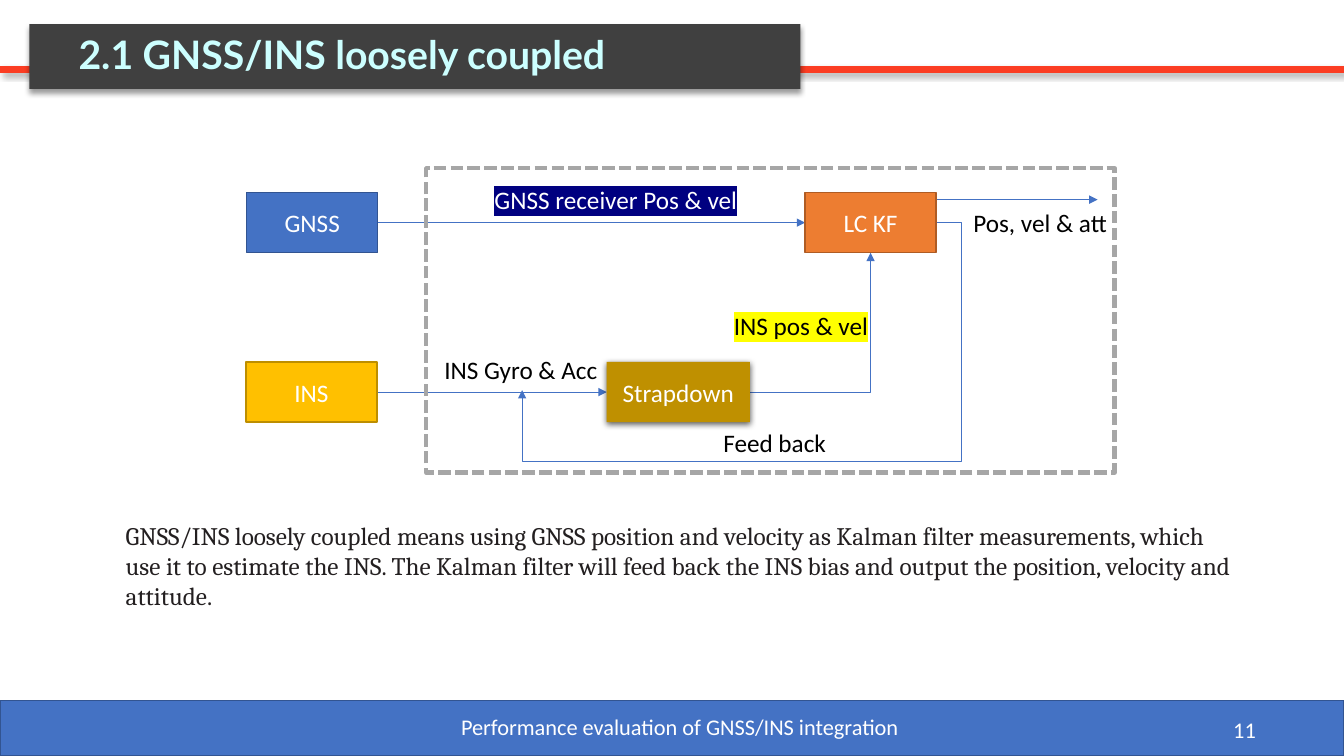
from pptx import Presentation
from pptx.dml.color import RGBColor
from pptx.enum.dml import MSO_LINE
from pptx.enum.shapes import MSO_CONNECTOR, MSO_SHAPE
from pptx.enum.text import MSO_ANCHOR, MSO_AUTO_SIZE, PP_ALIGN
from pptx.oxml.ns import qn
from pptx.util import Cm, Pt
from lxml import etree

LEFT, CENTER, RIGHT = PP_ALIGN.LEFT, PP_ALIGN.CENTER, PP_ALIGN.RIGHT
TOP, MIDDLE = MSO_ANCHOR.TOP, MSO_ANCHOR.MIDDLE
GROW, FIXED = MSO_AUTO_SIZE.SHAPE_TO_FIT_TEXT, MSO_AUTO_SIZE.NONE
STRAIGHT, ELBOW = MSO_CONNECTOR.STRAIGHT, MSO_CONNECTOR.ELBOW
RECTANGLE, DASHED = MSO_SHAPE.RECTANGLE, MSO_LINE.SQUARE_DOT
color = RGBColor.from_string

WIDTH, HEIGHT = 33.87, 19.05
BLUE, WHITE, BLACK = "4472C4", "FFFFFF", "000000"
# Shadows: opacity %, blur pt, distance pt, direction in degrees
RULE_SHADOW, TITLE_SHADOW, BLOCK_SHADOW = (40, 4, 3, 45), (40, 4, 3, 90), (63, 4.5, 1.5, 90)


def write(shape, text, ink, align=CENTER, anchor=MIDDLE, fit=FIXED, highlight=None, **formats):
    frame = shape.text_frame
    frame.word_wrap = True
    frame.auto_size = fit
    frame.vertical_anchor = anchor
    paragraph = frame.paragraphs[0]
    paragraph.alignment = align
    run = paragraph.add_run()
    run.text = text
    run.font.color.rgb = color(ink)
    for name, value in ({"name": "Calibri", "size": Pt(18)} | formats).items():
        setattr(run.font, name, value)
    if highlight:
        marker = etree.Element(qn("a:highlight"))
        etree.SubElement(marker, qn("a:srgbClr"), val=highlight)
        run.font._element.find(qn("a:latin")).addprevious(marker)
    return paragraph


def set_shadow(shape, shadow):
    effects = etree.SubElement(shape._element.spPr, qn("a:effectLst"))
    if shadow:
        opacity, blur, distance, direction = shadow
        outer = etree.SubElement(
            effects, qn("a:outerShdw"), blurRad=str(Pt(blur)), dist=str(Pt(distance)),
            dir=str(direction * 60000), algn="ctr", rotWithShape="0")
        black = etree.SubElement(outer, qn("a:srgbClr"), val=BLACK)
        etree.SubElement(black, qn("a:alpha"), val=str(opacity * 1000))


prs = Presentation()
prs.slide_width, prs.slide_height = Cm(WIDTH), Cm(HEIGHT)
slide = prs.slides.add_slide(prs.slide_layouts[6])
shapes = slide.shapes

# Connectors: start, end, colour, weight, preset, adjustments, shadow
gnss_y, ins_y = 5.61, 9.88
connectors = [
    ((0, 1.75), (WIDTH, 1.75), "FB3D23", 4.5, "line", (), RULE_SHADOW),
    ((9.52, gnss_y), (20.29, gnss_y), BLUE, 0.5, "line", (), None),
    ((9.5, ins_y), (15.29, ins_y), BLUE, 0.5, "line", (), None),
    ((23.59, 5.03), (27.66, 5.03), BLUE, 0.5, "line", (), None),
    ((18.9, ins_y), (21.94, 6.37), BLUE, 0.5, "bentConnector2", (), None),
    ((23.59, gnss_y), (13.16, 9.83), BLUE, 0.5, "bentConnector4", (-6100, 142600), None),
]
for start, end, stroke, weight, preset, adjustments, shadow in connectors:
    kind = STRAIGHT if preset == "line" else ELBOW
    link = shapes.add_connector(kind, *map(Cm, start + end))
    link.line.color.rgb = color(stroke)
    link.line.width = Pt(weight)
    properties = link._element.spPr
    geometry = properties.find(qn("a:prstGeom"))
    geometry.set("prst", preset)
    for number, value in enumerate(adjustments, 1):
        etree.SubElement(geometry.find(qn("a:avLst")), qn("a:gd"),
                         name=f"adj{number}", fmla=f"val {value}")
    if stroke == BLUE:
        etree.SubElement(properties.find(qn("a:ln")), qn("a:tailEnd"), type="triangle")
    set_shadow(link, shadow)

# Title bar, footer bar, diagram blocks and system frame
block_w, block_h = 3.3, 1.52
gnss_top, ins_top = 4.85, 9.12
boxes = [
    ("title", 0.74, 0.61, 19.43, 1.63, "404040", None, TITLE_SHADOW),
    ("footer", 0, 17.65, WIDTH, 1.4, BLUE, "325491", None),
    ("GNSS", 6.22, gnss_top, block_w, block_h, BLUE, "325491", None),
    ("INS", 6.2, ins_top, block_w, block_h, "FFC000", "BD8E00", None),
    ("LC KF", 20.29, gnss_top, block_w, block_h, "ED7D31", "AF5C24", None),
    ("Strapdown", 15.29, ins_top, 3.61, block_h, "BF9000", None, BLOCK_SHADOW),
    ("frame", 10.74, 4.24, 17.35, 7.67, None, "A6A6A6", None),
]
for part, left, top, width, height, fill, outline, shadow in boxes:
    box = shapes.add_shape(RECTANGLE, *map(Cm, (left, top, width, height)))
    if fill:
        box.fill.solid()
        box.fill.fore_color.rgb = color(fill)
    else:
        box.fill.background()
    if outline:
        box.line.color.rgb = color(outline)
        box.line.width = Pt(1)
    else:
        box.line.fill.background()
    if part == "frame":
        box.line.width = Pt(3)
        box.line.dash_style = DASHED
    set_shadow(box, shadow)
    if part == "title":
        box.text_frame.margin_left = Cm(1.24)
        heading = write(box, "2.1 GNSS/INS loosely coupled", "CCFFFF", LEFT,
                        name="Lato", size=Pt(28), bold=True)
        heading.line_spacing = 0.9
    elif part not in ("footer", "frame"):
        write(box, part, WHITE)

# Signal labels, explanation and footer text
label = {"ink": BLACK, "align": LEFT, "anchor": TOP, "fit": GROW}
footer = {"ink": WHITE, "size": Pt(16)}
explanation = (
    "GNSS/INS loosely coupled means using GNSS position and velocity as Kalman filter "
    "measurements, which use it to estimate the INS. The Kalman filter will feed back the "
    "INS bias and output the position, velocity and attitude.")
texts = [
    ("INS Gyro & Acc", 10.95, 8.81, 4.39, 1.02, label),
    ("GNSS receiver Pos & vel", 10.77, 4.52, 9.5, 1.02,
     label | {"ink": WHITE, "align": CENTER, "highlight": "000080"}),
    ("INS pos & vel", 16.87, 7.7, 6.63, 1.02, label | {"align": CENTER, "highlight": "FFFF00"}),
    ("Feed back", 17.98, 10.64, 4.39, 1.02, label),
    ("Pos, vel & att", 24.28, 5.11, 4.39, 1.02, label),
    (explanation, 2.92, 12.98, 28.35, 2.57, label | {"ink": "231F20", "name": "Cambria"}),
    ("Performance evaluation of GNSS/INS integration", 11.23, 17.65, 11.81, 1.32, footer),
    ("11", 24.28, 17.88, 7.62, 1.02, footer | {"align": RIGHT}),
]
for text, left, top, width, height, formats in texts:
    write(shapes.add_textbox(*map(Cm, (left, top, width, height))), text, **formats)

prs.save("out.pptx")
